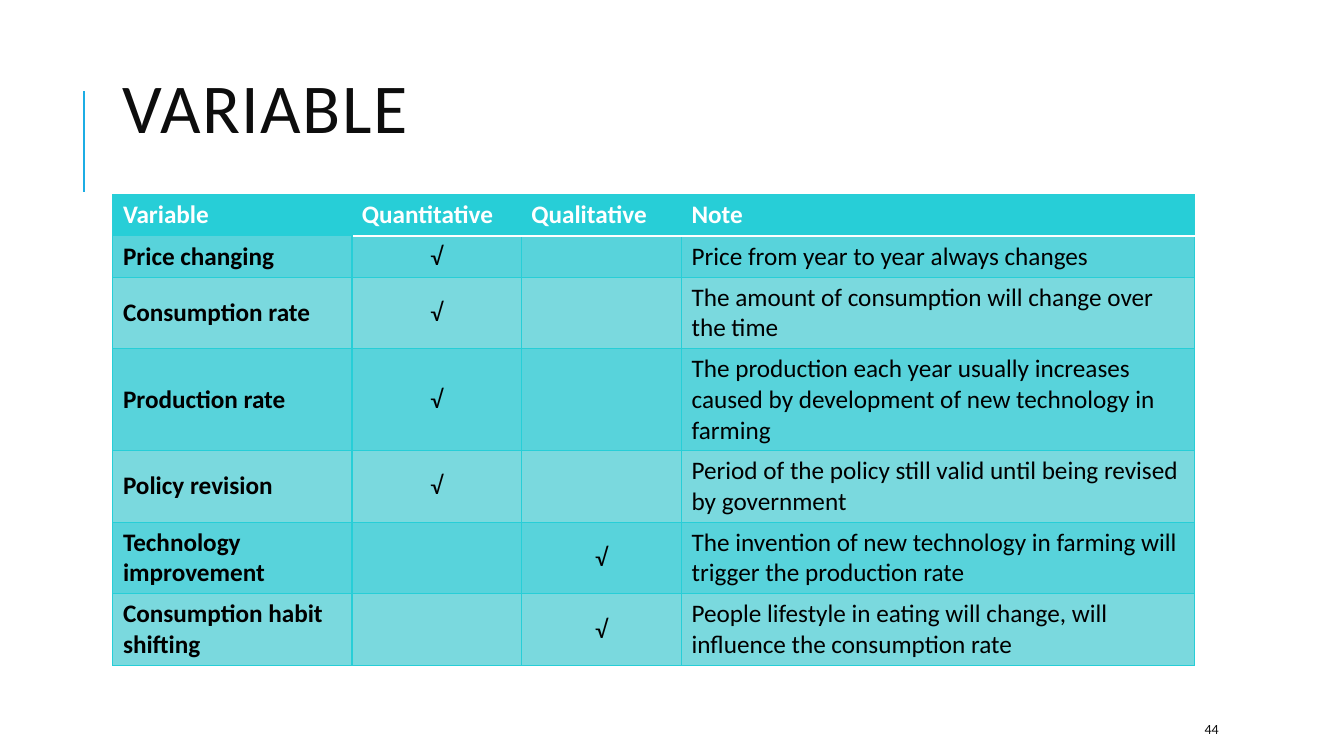
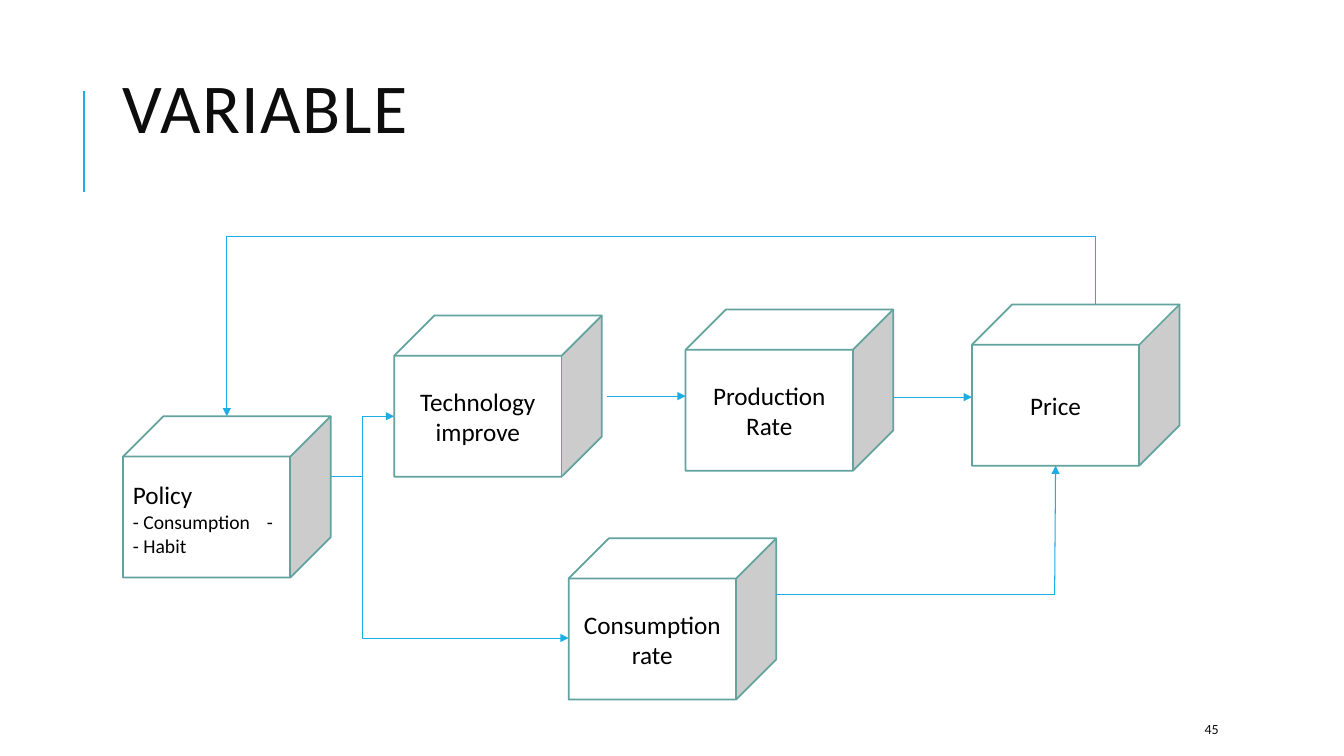
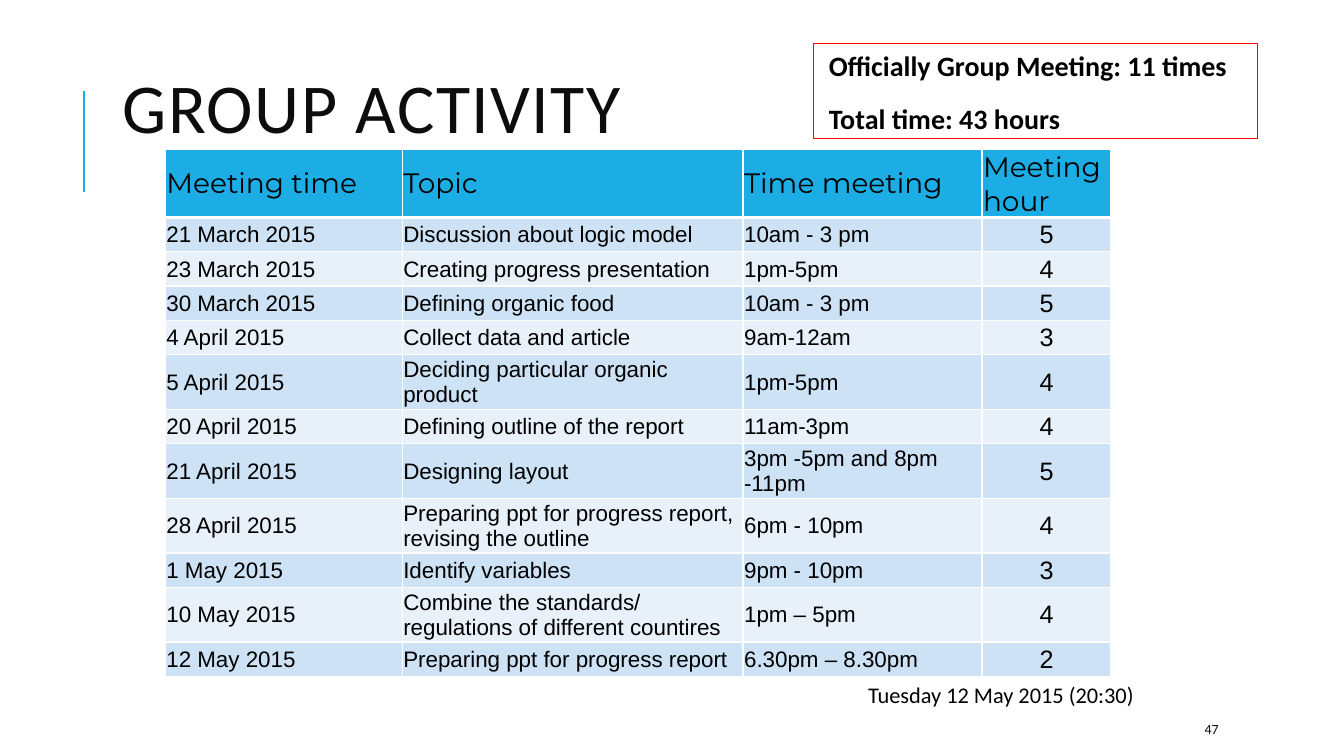
from dataclasses import dataclass

from lxml import etree
from pptx import Presentation
from pptx import util as u
from pptx.dml.color import RGBColor
from pptx.enum import shapes, text
from pptx.oxml.ns import qn

# Shared look
EMU_PER_PX = 9144  # 100 px to the inch
WHITE, BLACK, INK = "FFFFFF", "000000", "0D0D0D"
BLUE, TEAL, CUBE_EDGE, RED = "1CADE4", "27CED7", "62A39F", "FF0000"
TEAL_BANDS = ("58D3DB", "7AD9DE")
BLUE_BANDS = ("CDE3F5", "E8F1FA")
TOP, MIDDLE = text.MSO_ANCHOR.TOP, text.MSO_ANCHOR.MIDDLE
LEFT, CENTER = text.PP_ALIGN.LEFT, text.PP_ALIGN.CENTER
STRAIGHT, ELBOW = shapes.MSO_CONNECTOR.STRAIGHT, shapes.MSO_CONNECTOR.ELBOW
Point = tuple[int, int]


@dataclass(frozen=True)
class Cube:
    label: str
    left: int
    top: int
    width: int = 206
    height: int = 160


@dataclass(frozen=True)
class Arrow:
    begin: Point
    end: Point
    bend: float | None = None  # place of the middle leg, as a share of the run
    turned: bool = False  # leaves vertically instead of horizontally
    head: bool = True


@dataclass(frozen=True)
class Grid:
    left: int
    top: int
    columns: tuple[int, ...]
    rows: tuple[int, ...]
    header_fill: str
    bands: tuple[str, str]
    edge: str
    edge_width: float
    header_rule: float


def px(length: float) -> int:
    return round(length * EMU_PER_PX)


def rgb(value: str) -> RGBColor:
    return RGBColor.from_string(value)


# Text
def write(frame, words, *, size=18, font="Calibri", color=BLACK, bold=False,
          align=LEFT, leading=None, before=0, after=0, tracking=0, tab=None):
    """Add one paragraph, using the empty first one when there is one."""
    para = frame.paragraphs[0]
    if para.runs:
        para = frame.add_paragraph()
    para.alignment = align
    para.space_before, para.space_after = u.Pt(before), u.Pt(after)
    if leading:
        para.line_spacing = leading
    if tab:
        stops = etree.SubElement(para._p.get_or_add_pPr(), qn("a:tabLst"))
        etree.SubElement(stops, qn("a:tab"), pos=str(px(tab)), algn="l")
    span = para.add_run()
    span.text = words
    span.font.size, span.font.name, span.font.bold = u.Pt(size), font, bold
    span.font.color.rgb = rgb(color)
    if tracking:
        span.font._element.set("spc", str(tracking * 100))


def text_box(page, left: int, top: int, width: int, height: int,
             anchor=TOP, inset=10):
    box = page.shapes.add_textbox(px(left), px(top), px(width), px(height))
    frame = box.text_frame
    frame.word_wrap, frame.vertical_anchor = True, anchor
    frame.margin_left = px(inset)
    return box


# Lines and arrows
def draw_arrow(page, arrow: Arrow, width=0.75) -> None:
    (x1, y1), (x2, y2) = arrow.begin, arrow.end
    if arrow.turned:  # ends before the quarter turn about the centre
        cx, cy = (x1 + x2) / 2, (y1 + y2) / 2
        x1, y1, x2, y2 = cx + cy - y1, cy + x1 - cx, cx + cy - y2, cy + x2 - cx
    kind = STRAIGHT if arrow.bend is None else ELBOW
    line = page.shapes.add_connector(kind, px(x1), px(y1), px(x2), px(y2))
    line.line.color.rgb, line.line.width = rgb(BLUE), u.Pt(width)
    properties = line._element.spPr
    if arrow.turned:
        properties.find(qn("a:xfrm")).set("rot", str(270 * 60000))
    if arrow.bend is not None:
        guides = properties.find(qn("a:prstGeom")).get_or_add_avLst()
        etree.SubElement(guides, qn("a:gd"), name="adj1",
                         fmla=f"val {round(arrow.bend * 100000)}")
    if arrow.head:
        etree.SubElement(line.line._get_or_add_ln(), qn("a:tailEnd"), type="triangle")
    etree.SubElement(properties, qn("a:effectLst"))


def draw_cube(page, cube: Cube) -> None:
    box = page.shapes.add_shape(shapes.MSO_SHAPE.CUBE, px(cube.left), px(cube.top),
                                px(cube.width), px(cube.height))
    box.shadow.inherit = False
    box.fill.solid()
    box.fill.fore_color.rgb = rgb(WHITE)
    box.line.color.rgb, box.line.width = rgb(CUBE_EDGE), u.Pt(1.25)
    box.text_frame.word_wrap, box.text_frame.vertical_anchor = True, MIDDLE
    if cube.label:
        write(box.text_frame, cube.label, align=CENTER)


# Tables
def set_border(cell, side: str, color: str, width: float) -> None:
    line = etree.SubElement(cell._tc.get_or_add_tcPr(), qn(f"a:ln{side}"),
                            w=str(u.Pt(width)))
    fill = etree.SubElement(line, qn("a:solidFill"))
    etree.SubElement(fill, qn("a:srgbClr"), val=color)


def draw_table(page, grid: Grid, edges):
    """Draw the empty grid; edges(row, column) gives the borders that differ."""
    table = page.shapes.add_table(
        len(grid.rows), len(grid.columns), px(grid.left), px(grid.top),
        px(sum(grid.columns)), px(sum(grid.rows))).table
    table.horz_banding = False
    for column, width in zip(table.columns, grid.columns):
        column.width = px(width)
    for row, height in zip(table.rows, grid.rows):
        row.height = px(height)
    for r in range(len(grid.rows)):
        for c in range(len(grid.columns)):
            cell = table.cell(r, c)
            special = edges(r, c)
            for side in "LRTB":
                set_border(cell, side, *special.get(side, (grid.edge, grid.edge_width)))
            cell.fill.solid()
            cell.fill.fore_color.rgb = rgb(grid.bands[(r - 1) % 2] if r else grid.header_fill)
            cell.vertical_anchor = MIDDLE
    return table


def header_rule(grid: Grid, row: int) -> dict:
    rule = (WHITE, grid.header_rule)
    return {0: {"B": rule}, 1: {"T": rule}}.get(row, {})


# Page frame
def new_page(deck, title: str, number: int):
    page = deck.slides.add_slide(deck.slide_layouts[6])
    draw_arrow(page, Arrow((83, 190), (83, 90), head=False), width=1.5)
    heading = text_box(page, 112, 64, 1063, 97, MIDDLE)
    write(heading.text_frame, title, size=50, color=INK, leading=0.8, tracking=1)
    footer = text_box(page, 1185, 708, 106, 30, MIDDLE)
    write(footer.text_frame, str(number), size=10, color=INK)
    return page


# Variable table
VARIABLE_GRID = Grid(112, 193, (237, 168, 159, 509), (41, 41, 71, 101, 71, 71, 71),
                     TEAL, TEAL_BANDS, TEAL, 0.75, 1.25)
VARIABLE_HEADER = ("Variable", "Quantitative", "Qualitative", "Note")
VARIABLES = (
    ("Price changing", "√", "", "Price from year to year always changes"),
    ("Consumption rate", "√", "", "The amount of consumption will change over the time"),
    ("Production rate", "√", "", "The production each year usually increases caused by "
     "development of new technology in farming"),
    ("Policy revision", "√", "", "Period of the policy still valid until being revised "
     "by government"),
    ("Technology improvement", "", "√", "The invention of new technology in farming will "
     "trigger the production rate"),
    ("Consumption habit shifting", "", "√", "People lifestyle in eating will change, will "
     "influence the consumption rate"),
)


def variable_table_page(deck) -> None:
    page = new_page(deck, "VARIABLE", 44)

    def edges(row: int, column: int) -> dict:
        if column:
            special = dict(header_rule(VARIABLE_GRID, row))
            if row and column == 1:
                special["L"] = (TEAL, 1.25)
            return special
        return {"R": (TEAL, 1.25)} if row else {}

    table = draw_table(page, VARIABLE_GRID, edges)
    for r, row in enumerate((VARIABLE_HEADER, *VARIABLES)):
        for c, words in enumerate(row):
            if words:
                write(table.cell(r, c).text_frame, words,
                      color=BLACK if r else WHITE, bold=r == 0 or c == 0,
                      align=CENTER if words == "√" else LEFT)


# Variable diagram
POLICY = Cube("", 122, 413)
CUBES = (
    POLICY,
    Cube("Technology improve", 391, 313),
    Cube("Production Rate", 680, 307),
    Cube("Price", 964, 302),
    Cube("Consumption rate", 564, 534),
)
ARROWS = (
    Arrow((602, 393), (680, 393)),
    Arrow((886, 394), (964, 394)),
    Arrow((770, 590), (1046, 590), head=False),
    Arrow((1046, 590), (1047, 462)),
    Arrow((328, 473), (391, 413), bend=0.5),
    Arrow((328, 473), (564, 633), bend=0.134),
    Arrow((1087, 302), (225, 413), bend=-0.604, turned=True),
)


def variable_diagram_page(deck) -> None:
    page = new_page(deck, "VARIABLE", 45)
    for cube in CUBES:
        draw_cube(page, cube)
    for arrow in ARROWS:
        draw_arrow(page, arrow)
    policy = text_box(page, POLICY.left, POLICY.top + 58, 164, 88).text_frame
    write(policy, "Policy")
    write(policy, "- Consumption\t-", size=14, tab=133)
    write(policy, "- Habit", size=14)


# Meeting table
MEETING_GRID = Grid(164, 148, (235, 338, 237, 128),
                    (67, 34, 34, 34, 34, 51, 34, 51, 51, 34, 51, 34),
                    BLUE, BLUE_BANDS, WHITE, 1, 3)
MEETING_HEADER = ("Meeting time", "Topic", "Time meeting", "Meeting hour")
MEETINGS = (
    ("21 March 2015", "Discussion about logic model", "10am - 3 pm", "5"),
    ("23 March 2015", "Creating progress presentation", "1pm-5pm", "4"),
    ("30 March 2015", "Defining organic food", "10am - 3 pm", "5"),
    ("4 April 2015", "Collect data and article", "9am-12am", "3"),
    ("5 April 2015", "Deciding particular organic product", "1pm-5pm", "4"),
    ("20 April 2015", "Defining outline of the report", "11am-3pm", "4"),
    ("21 April 2015", "Designing layout", "3pm -5pm and 8pm -11pm", "5"),
    ("28 April 2015", "Preparing ppt for progress report, revising the outline",
     "6pm - 10pm", "4"),
    ("1 May 2015", "Identify variables", "9pm - 10pm", "3"),
    ("10 May 2015", "Combine the standards/ regulations of different countires",
     "1pm – 5pm", "4"),
    ("12 May 2015", "Preparing ppt for progress report", "6.30pm – 8.30pm", "2"),
)


def meeting_page(deck) -> None:
    page = new_page(deck, "GROUP ACTIVITY", 47)
    table = draw_table(page, MEETING_GRID, lambda row, _: header_rule(MEETING_GRID, row))
    for r, row in enumerate((MEETING_HEADER, *MEETINGS)):
        for c, words in enumerate(row):
            cell = table.cell(r, c)
            cell.margin_left = cell.margin_right = cell.margin_top = px(1)
            cell.margin_bottom = 0
            if r == 0:
                write(cell.text_frame, words, size=20, font="Montserrat")
            elif c == 3:
                write(cell.text_frame, words, size=18, font="Arial", align=CENTER)
            else:
                write(cell.text_frame, words, size=16, font="Arial")

    # Totals and date
    totals = text_box(page, 807, 43, 440, 94, inset=15)
    totals.line.color.rgb, totals.line.width = rgb(RED), u.Pt(0.75)
    write(totals.text_frame, "Officially Group Meeting: 11 times", size=20, bold=True, after=4)
    write(totals.text_frame, "Total time: 43 hours", size=20, bold=True, before=10)
    date = text_box(page, 841, 671, 310, 37, inset=20)
    write(date.text_frame, "Tuesday 12 May 2015 (20:30)", size=16)


def main() -> None:
    deck = Presentation()
    deck.slide_width, deck.slide_height = px(1333), px(750)
    variable_table_page(deck)
    variable_diagram_page(deck)
    meeting_page(deck)
    deck.save("out.pptx")


if __name__ == "__main__":
    main()
